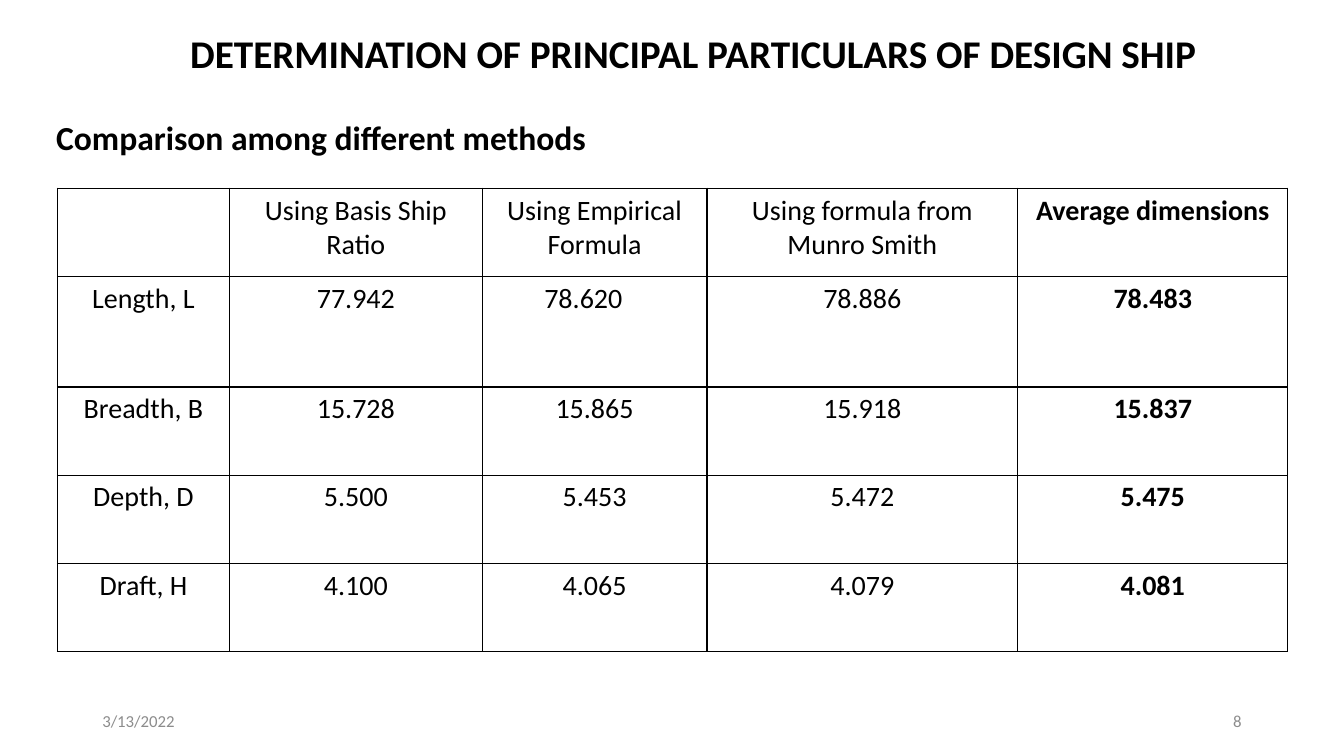
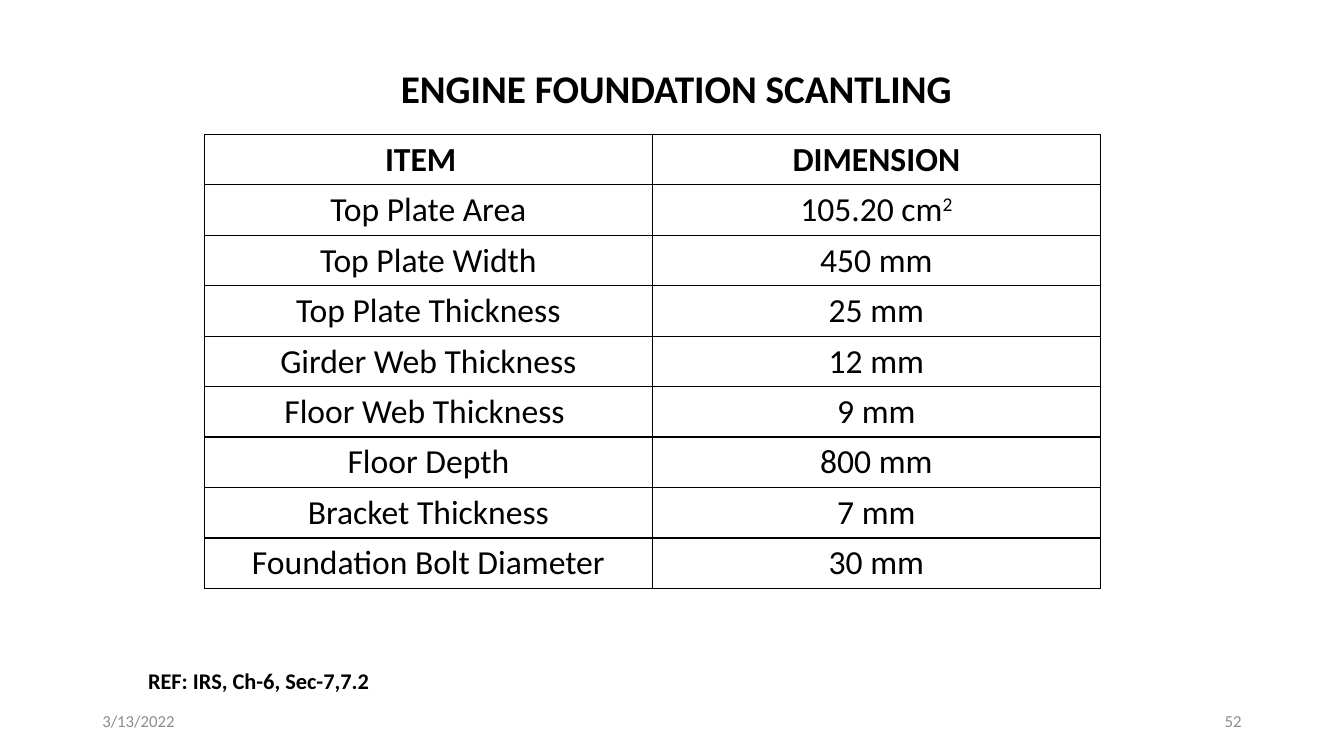
from lxml.etree import SubElement
from pptx import Presentation
from pptx.dml.color import RGBColor
from pptx.enum.text import MSO_ANCHOR, MSO_AUTO_SIZE, PP_ALIGN
from pptx.oxml.ns import qn
from pptx.util import Pt

BLACK = RGBColor(0x00, 0x00, 0x00)
GRAY = RGBColor(0x8C, 0x8C, 0x8C)
FONT = "Calibri"
DATE = "3/13/2022"


class Deck:
    """Holds the shared style and the current slide."""

    def __init__(self):
        self.prs = Presentation()
        self.prs.slide_width, self.prs.slide_height = Pt(960), Pt(540)
        self.s = None

    def style(self, p, size, bold=False, color=BLACK, align=PP_ALIGN.LEFT):
        """Apply alignment and font to a paragraph."""
        p.alignment = align
        f = p.font
        f.name, f.size, f.bold = FONT, Pt(size), bold
        f.color.rgb = color

    def slide(self, title, box, number):
        """Start a slide with its title, date and number."""
        self.s = self.prs.slides.add_slide(self.prs.slide_layouts[5])
        sp = self.s.shapes.title
        sp.left, sp.top, sp.width, sp.height = map(Pt, box)
        tf = sp.text_frame
        tf.text = title
        tf.auto_size = MSO_AUTO_SIZE.NONE
        tf.vertical_anchor = MSO_ANCHOR.TOP
        self.style(tf.paragraphs[0], 28, True, align=PP_ALIGN.CENTER)
        self.text(DATE, (66, 500.5, 216, 28.75), 12, color=GRAY)
        self.text(number, (678, 500.5, 216, 28.75), 12, color=GRAY,
                  align=PP_ALIGN.RIGHT)

    def text(self, text, box, size, **style):
        """Add a one-paragraph text box."""
        tf = self.s.shapes.add_textbox(*map(Pt, box)).text_frame
        tf.word_wrap = True
        tf.vertical_anchor = MSO_ANCHOR.MIDDLE
        tf.text = text
        self.style(tf.paragraphs[0], size, **style)

    def border(self, cell):
        """Draw thin black lines on all sides of a cell."""
        tcPr = cell._tc.get_or_add_tcPr()
        for side in ("lnL", "lnR", "lnT", "lnB"):
            ln = SubElement(tcPr, qn(f"a:{side}"), w=str(Pt(1)))
            fill = SubElement(ln, qn("a:solidFill"))
            SubElement(fill, qn("a:srgbClr"), val=str(BLACK))

    def table(self, rows, left, top, widths, heights, size, is_bold, shifts):
        """Add a bordered table; shifts widens the right margin of some cells."""
        tbl = self.s.shapes.add_table(
            len(rows), len(widths), Pt(left), Pt(top),
            Pt(sum(widths)), Pt(sum(heights))).table
        tbl.first_row = tbl.horz_banding = False
        for col, width in zip(tbl.columns, widths):
            col.width = Pt(width)
        for i, (row, height) in enumerate(zip(rows, heights)):
            tbl.rows[i].height = Pt(height)
            for j, text in enumerate(row):
                cell = tbl.cell(i, j)
                self.border(cell)
                cell.fill.background()
                cell.margin_right = Pt(7.2 + shifts.get((i, j), 0))
                p = cell.text_frame.paragraphs[0]
                base, _, power = text.partition("^")
                p.add_run().text = base
                if power:
                    r = p.add_run()
                    r.text = power
                    r._r.get_or_add_rPr().set("baseline", "30000")
                self.style(p, size, is_bold(i, j), align=PP_ALIGN.CENTER)


def main():
    """Build both slides and save the file."""
    deck = Deck()

    deck.slide("DETERMINATION OF PRINCIPAL PARTICULARS OF DESIGN SHIP",
               (96, 17, 798, 41), "8")
    deck.text("Comparison among different methods", (33, 80, 855, 36), 24,
              bold=True)
    particulars = [
        ("", "Using Basis Ship Ratio", "Using Empirical Formula",
         "Using formula from Munro Smith", "Average dimensions"),
        ("Length, L", "77.942", "78.620", "78.886", "78.483"),
        ("Breadth, B", "15.728", "15.865", "15.918", "15.837"),
        ("Depth, D", "5.500", "5.453", "5.472", "5.475"),
        ("Draft, H", "4.100", "4.065", "4.079", "4.081"),
    ]
    deck.table(particulars, 41, 134.5, (123, 180.5, 160.5, 222, 193),
               (63, 79, 63, 63, 63), 20, lambda i, j: j == 4, {(1, 2): 16})

    deck.slide("ENGINE FOUNDATION SCANTLING", (270, 42, 426, 41), "52")
    scantlings = [
        ("ITEM", "DIMENSION"),
        ("Top Plate Area", "105.20 cm^2"),
        ("Top Plate Width", "450 mm"),
        ("Top Plate Thickness", "25 mm"),
        ("Girder Web Thickness", "12 mm"),
        ("Floor Web Thickness", "9 mm"),
        ("Floor Depth", "800 mm"),
        ("Bracket Thickness", "7 mm"),
        ("Foundation Bolt Diameter", "30 mm"),
    ]
    deck.table(scantlings, 146, 96, (320, 320), [36] * len(scantlings), 24,
               lambda i, j: i == 0, {(0, 0): 11, (5, 0): 5.5})
    deck.text("REF: IRS, Ch-6, Sec-7,7.2", (94.5, 471.5, 180.5, 28.75), 16,
              bold=True, align=PP_ALIGN.CENTER)

    deck.prs.save("out.pptx")


if __name__ == "__main__":
    main()
